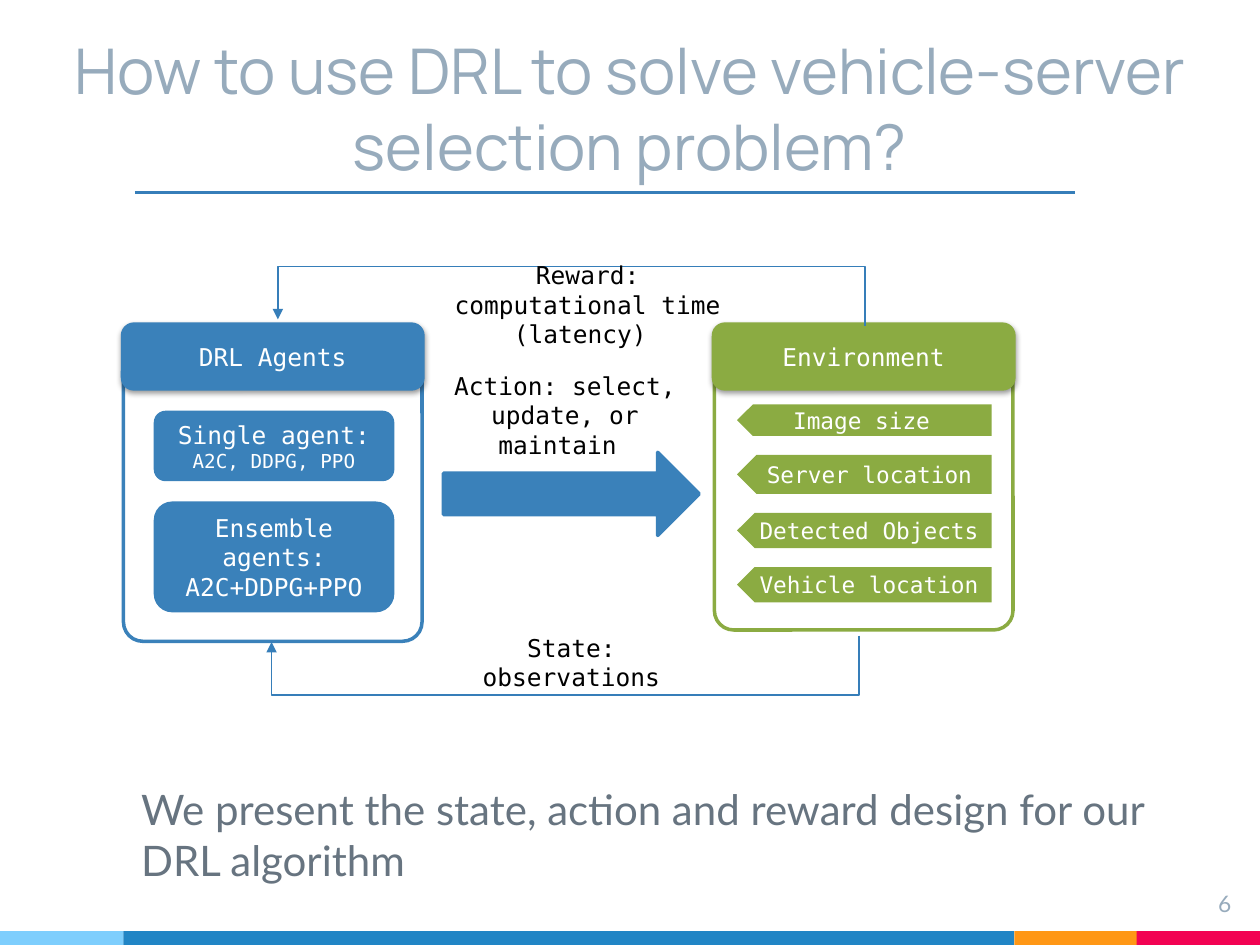
from lxml.etree import SubElement
from pptx import Presentation
from pptx.dml.color import RGBColor
from pptx.enum.shapes import MSO_CONNECTOR as Link, MSO_SHAPE as Shape
from pptx.enum.text import MSO_ANCHOR as Anchor, MSO_AUTO_SIZE as AutoSize, PP_ALIGN as Align
from pptx.oxml import parse_xml
from pptx.oxml.ns import nsdecls, qn
from pptx.util import Inches, Pt

COLORS = {
    "agent": "3A81BA", "environment": "8BAB42", "link": "367EB9",
    "title": "97ABBC", "body": "677480", "white": "FFFFFF", "black": "000000",
    "sky": "7ECEFD", "blue": "2185C5", "orange": "FF9715", "pink": "F20253",
}
MONO = "DejaVu Sans Mono"


def rgb(name):
    """Return the named colour."""
    return RGBColor.from_string(COLORS[name])


def style_font(font, size, color, face=MONO):
    """Set the face, size and colour of a font."""
    font.name, font.size = face, Pt(size)
    font.color.rgb = rgb(color)


def write(frame, lines, size, color, face=MONO, align=Align.CENTER, anchor=Anchor.MIDDLE):
    """Fill a text frame with one paragraph per line."""
    frame.word_wrap = True
    frame.auto_size = AutoSize.NONE
    frame.vertical_anchor = anchor
    frame.text = "\n".join(lines)
    for paragraph in frame.paragraphs:
        paragraph.alignment = align
        style_font(paragraph.font, size, color, face)


def set_margins(frame):
    """Give a frame equal margins on all sides."""
    frame.margin_left = frame.margin_right = Inches(0.1)
    frame.margin_top = frame.margin_bottom = Inches(0.1)


def add_block(slide, kind, box, fill, line=None, width=2, lines=(), size=14):
    """Add a filled shape with optional outline and text."""
    block = slide.shapes.add_shape(kind, *map(Inches, box))
    block.shadow.inherit = False
    block.fill.solid()
    block.fill.fore_color.rgb = rgb(fill)
    if line:
        block.line.color.rgb = rgb(line)
        block.line.width = Pt(width)
    else:
        block.line.fill.background()
    if lines:
        write(block.text_frame, lines, size, "white")
    return block


def add_label(slide, box, text, size=14, color="black", **layout):
    """Add a text box."""
    label = slide.shapes.add_textbox(*map(Inches, box))
    write(label.text_frame, [text], size, color, **layout)
    return label


def add_line(slide, kind, start, end, width):
    """Add a connector without shadow."""
    line = slide.shapes.add_connector(kind, *map(Inches, start + end))
    line.line.color.rgb = rgb("link")
    line.line.width = Pt(width)
    SubElement(line._element.spPr, qn("a:effectLst"))
    return line


def add_feedback(slide, start, end, degrees):
    """Add a turned elbow arrow that loops outside its two ends."""
    feedback = add_line(slide, Link.ELBOW, start, end, 1)
    properties = feedback._element.spPr
    properties.find(qn("a:xfrm")).set("rot", str(degrees * 60000))
    adjustments = properties.find(qn("a:prstGeom")).get_or_add_avLst()
    SubElement(adjustments, qn("a:gd"), name="adj1", fmla="val 940000")
    SubElement(properties.find(qn("a:ln")), qn("a:tailEnd"), type="triangle")


def add_panel(slide, left, top, color, heading):
    """Add an outlined panel under a heading with a soft shadow."""
    panel = add_block(slide, Shape.ROUNDED_RECTANGLE, (left, top, 2.37, 2.41), "white", color)
    panel.adjustments[0] = 0.065
    header = add_block(slide, Shape.ROUNDED_RECTANGLE, (left, 2.58, 2.37, 0.5),
                       color, color, 3, [heading])
    header._element.spPr.find(qn("a:effectLst")).append(parse_xml(
        f'<a:outerShdw {nsdecls("a")} blurRad="{Pt(3.1)}" dist="{Pt(1.6)}" dir="5400000" '
        'rotWithShape="0"><a:srgbClr val="000000"><a:alpha val="38000"/></a:srgbClr>'
        '</a:outerShdw>'))


def add_observation(slide, top, height, text):
    """Add a left-pointing tag for one part of the state."""
    tag = add_block(slide, Shape.PENTAGON, (5.85, top, 2.02, height),
                    "environment", lines=[text], size=13)
    tag._element.spPr.find(qn("a:xfrm")).set("flipH", "1")


def fill_placeholder(holder, box, text, size, color, face, align, anchor):
    """Move a placeholder and write its text."""
    holder.left, holder.top, holder.width, holder.height = map(Inches, box)
    write(holder.text_frame, [text], size, color, face, align, anchor)
    set_margins(holder.text_frame)


def add_texts(slide):
    """Fill the title and body and add the page number."""
    fill_placeholder(slide.shapes.title, (0.3, 0.3, 9.4, 1.25),
                     "How to use DRL to solve vehicle-server selection problem?",
                     36, "title", "Manrope", Align.CENTER, Anchor.BOTTOM)
    body = slide.placeholders[1]
    fill_placeholder(body, (0.98, 6.12, 8.48, 1.06),
                     "We present the state, action and reward design for our DRL algorithm",
                     24, "body", "Lato", Align.LEFT, Anchor.TOP)
    paragraph = body.text_frame.paragraphs[0]
    paragraph.space_before = Pt(0)
    properties = paragraph._p.get_or_add_pPr()
    properties.set("marL", str(Inches(0.04)))
    properties.set("indent", "0")
    properties.find(qn("a:defRPr")).addprevious(parse_xml(f'<a:buNone {nsdecls("a")}/>'))
    number = add_label(slide, (9.27, 6.96, 0.6, 0.46), "6", 13, "title",
                       face="Lato", align=Align.RIGHT, anchor=Anchor.TOP)
    set_margins(number.text_frame)


def add_agents(slide):
    """Add the agent panel and its two kinds of agent."""
    add_panel(slide, 0.98, 2.68, "agent", "DRL Agents")
    single = add_block(slide, Shape.ROUNDED_RECTANGLE, (1.22, 3.26, 1.91, 0.56),
                       "agent", lines=["Single agent: "])
    algorithms = single.text_frame.paragraphs[0].add_run()
    algorithms.text = "A2C, DDPG, PPO"
    algorithms.font.size = Pt(11)
    add_block(slide, Shape.ROUNDED_RECTANGLE, (1.22, 3.98, 1.91, 0.88),
              "agent", lines=["Ensemble agents:", "A2C+DDPG+PPO"])


def add_environment(slide):
    """Add the environment panel and its observations."""
    add_panel(slide, 5.67, 2.59, "environment", "Environment")
    for top, height, text in [(3.21, 0.25, "Image size "), (3.61, 0.31, "Server location"),
                              (4.07, 0.28, "Detected Objects"), (4.5, 0.28, "Vehicle location")]:
        add_observation(slide, top, height, text)


def add_exchange(slide):
    """Add the reward, action and state flows."""
    add_feedback(slide, (4.51, 4.89), (4.56, 0.23), 270)
    add_feedback(slide, (4.46, 2.74), (4.51, 7.4), 90)
    add_block(slide, Shape.RIGHT_ARROW, (3.52, 3.59, 2.03, 0.66), "agent", "agent")
    add_label(slide, (3.35, 2.19, 2.63, 0.45), "Reward: computational time (latency) ")
    add_label(slide, (3.3, 3.07, 2.37, 0.45), "Action: select, update, or maintain ")
    add_label(slide, (3.39, 5.03, 2.29, 0.45), "State: observations")


def main():
    """Build and save the slide."""
    deck = Presentation()
    deck.slide_width, deck.slide_height = Inches(10), Inches(7.5)
    slide = deck.slides.add_slide(deck.slide_layouts[1])
    for left, width, color in [(0, 0.98, "sky"), (0.98, 7.07, "blue"),
                               (8.05, 0.98, "orange"), (9.02, 0.98, "pink")]:
        add_block(slide, Shape.RECTANGLE, (left, 7.39, width, 0.11), color)
    add_texts(slide)
    add_line(slide, Link.STRAIGHT, (1.07, 1.53), (8.53, 1.53), 1.5)
    add_agents(slide)
    add_environment(slide)
    add_exchange(slide)
    deck.save("out.pptx")


if __name__ == "__main__":
    main()
